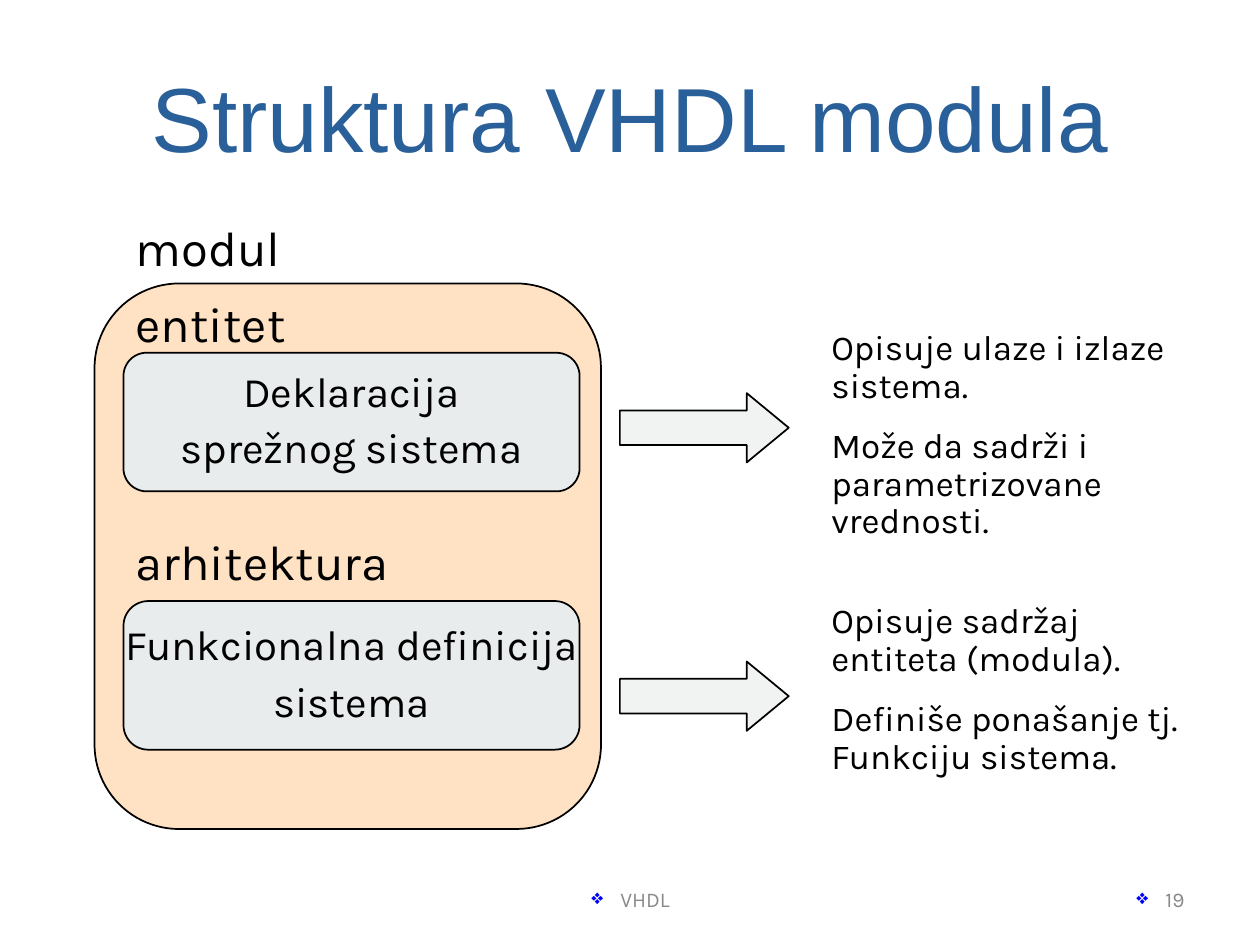
from lxml import etree
from pptx import Presentation
from pptx.dml.color import RGBColor
from pptx.enum.shapes import MSO_SHAPE
from pptx.enum.text import MSO_ANCHOR, MSO_AUTO_SIZE, PP_ALIGN
from pptx.oxml.ns import qn
from pptx.util import Inches, Pt

ROUND, ARROW = MSO_SHAPE.ROUNDED_RECTANGLE, MSO_SHAPE.RIGHT_ARROW
TOP, MIDDLE = MSO_ANCHOR.TOP, MSO_ANCHOR.MIDDLE
LEFT, CENTER, RIGHT = PP_ALIGN.LEFT, PP_ALIGN.CENTER, PP_ALIGN.RIGHT
GROW, FIXED = MSO_AUTO_SIZE.SHAPE_TO_FIT_TEXT, MSO_AUTO_SIZE.NONE

BLACK = RGBColor(0x00, 0x00, 0x00)
BLUE = RGBColor(0x2A, 0x60, 0x99)
GRAY = RGBColor(0x89, 0x89, 0x89)
PEACH = RGBColor(0xFF, 0xCC, 0x99)
PALE = RGBColor(0xE8, 0xEC, 0xEC)
BULLET = "0000FF"

WIDTH, HEIGHT = 10, 7.5
COL_MODULE, COL_INNER, COL_ARROW, COL_NOTE = 0.75, 0.98, 4.92, 6.5
INNER_W, LABEL_W, ARROW_W, NOTE_W = 3.62, 2.68, 1.34, 2.99
LABEL_H, ARROW_H = 0.52, 0.55
FOOTER_Y, FOOTER_H = 6.95, 0.4

TITLE = "Struktura VHDL modula"
MODULE = ("modul", 1.73, (COL_MODULE, 2.25, 4.02, 4.33))
PARTS = [
    {
        "label": ("entitet", 2.33),
        "block": (["Deklaracija", "sprežnog sistema"], 2.8, 1.1),
        "arrow": 3.12,
        "notes": (["Opisuje ulaze i izlaze sistema.",
                   "Može da sadrži i parametrizovane vrednosti."], 2.57, 1.78),
    },
    {
        "label": ("arhitektura", 4.22),
        "block": (["Funkcionalna definicija", "sistema"], 4.77, 1.18),
        "arrow": 5.25,
        "notes": (["Opisuje sadržaj entiteta (modula).",
                   "Definiše ponašanje tj. Funkciju sistema."], 4.74, 1.48),
    },
]
FOOTERS = [("VHDL", 3.42, 3.17, CENTER), ("19", 7.17, 2.33, RIGHT)]


def add_bullet(p):
    pPr = p._p.get_or_add_pPr()
    pPr.set("marL", str(Inches(0.23)))
    pPr.set("indent", str(-Inches(0.23)))
    color = etree.SubElement(pPr, qn("a:buClr"))
    etree.SubElement(color, qn("a:srgbClr")).set("val", BULLET)
    etree.SubElement(pPr, qn("a:buChar")).set("char", "❖")


def write(sp, lines, size, color=BLACK, align=LEFT, anchor=TOP, gap=0,
          wrap=True, fit=FIXED, font="Karla", spacing=0.9, bullet=False):
    tf = sp.text_frame
    tf.word_wrap = wrap
    tf.auto_size = fit
    tf.vertical_anchor = anchor
    for i, line in enumerate(lines):
        p = tf.add_paragraph() if i else tf.paragraphs[0]
        p.alignment = align
        p.line_spacing = spacing
        p.space_before = Pt(gap if i else 0)
        if bullet:
            add_bullet(p)
        r = p.add_run()
        r.text = line
        r.font.size = Pt(size)
        r.font.name = font
        r.font.color.rgb = color


def add_text(s, box, lines, size, **style):
    sp = s.shapes.add_textbox(*map(Inches, box))
    write(sp, lines, size, **style)


def add_block(s, kind, box, fill, adjustments, opacity=100):
    sp = s.shapes.add_shape(kind, *map(Inches, box))
    sp.shadow.inherit = False
    sp.fill.solid()
    sp.fill.fore_color.rgb = fill
    sp.line.color.rgb = BLACK
    sp.line.width = Pt(1)
    for i, value in enumerate(adjustments):
        sp.adjustments[i] = value
    if opacity < 100:
        clr = sp._element.spPr.find(qn("a:solidFill")).find(qn("a:srgbClr"))
        etree.SubElement(clr, qn("a:alpha")).set("val", str(opacity * 1000))
    return sp


def add_label(s, text, top):
    add_text(s, (COL_INNER, top, LABEL_W, LABEL_H), [text], 28, fit=GROW)


def main():
    prs = Presentation()
    prs.slide_width, prs.slide_height = Inches(WIDTH), Inches(HEIGHT)
    s = prs.slides.add_slide(prs.slide_layouts[5])

    title = s.shapes.title
    title.left, title.top, title.width, title.height = map(
        Inches, (0.5, 0.3, 9, 1.25))
    write(title, [TITLE], 52, color=BLUE, align=CENTER, anchor=MIDDLE,
          font="Arial", spacing=1.0)
    tf = title.text_frame
    tf.margin_left = tf.margin_right = tf.margin_top = tf.margin_bottom = 0

    for text, left, width, align in FOOTERS:
        add_text(s, (left, FOOTER_Y, width, FOOTER_H), [text], 12, color=GRAY,
                 align=align, anchor=MIDDLE, bullet=True)

    name, top, box = MODULE
    add_block(s, ROUND, box, PEACH, [0.167], opacity=59)
    add_label(s, name, top)

    for part in PARTS:
        lines, top, height = part["block"]
        sp = add_block(s, ROUND, (COL_INNER, top, INNER_W, height), PALE, [0.167])
        write(sp, lines, 24, align=CENTER, anchor=MIDDLE, gap=6.2, wrap=False)
        add_label(s, *part["label"])
        add_block(s, ARROW, (COL_ARROW, part["arrow"], ARROW_W, ARROW_H), PALE,
                  [0.5, 0.606], opacity=59)
        lines, top, height = part["notes"]
        add_text(s, (COL_NOTE, top, NOTE_W, height), lines, 20, gap=12.8, fit=GROW)

    prs.save("out.pptx")


if __name__ == "__main__":
    main()
